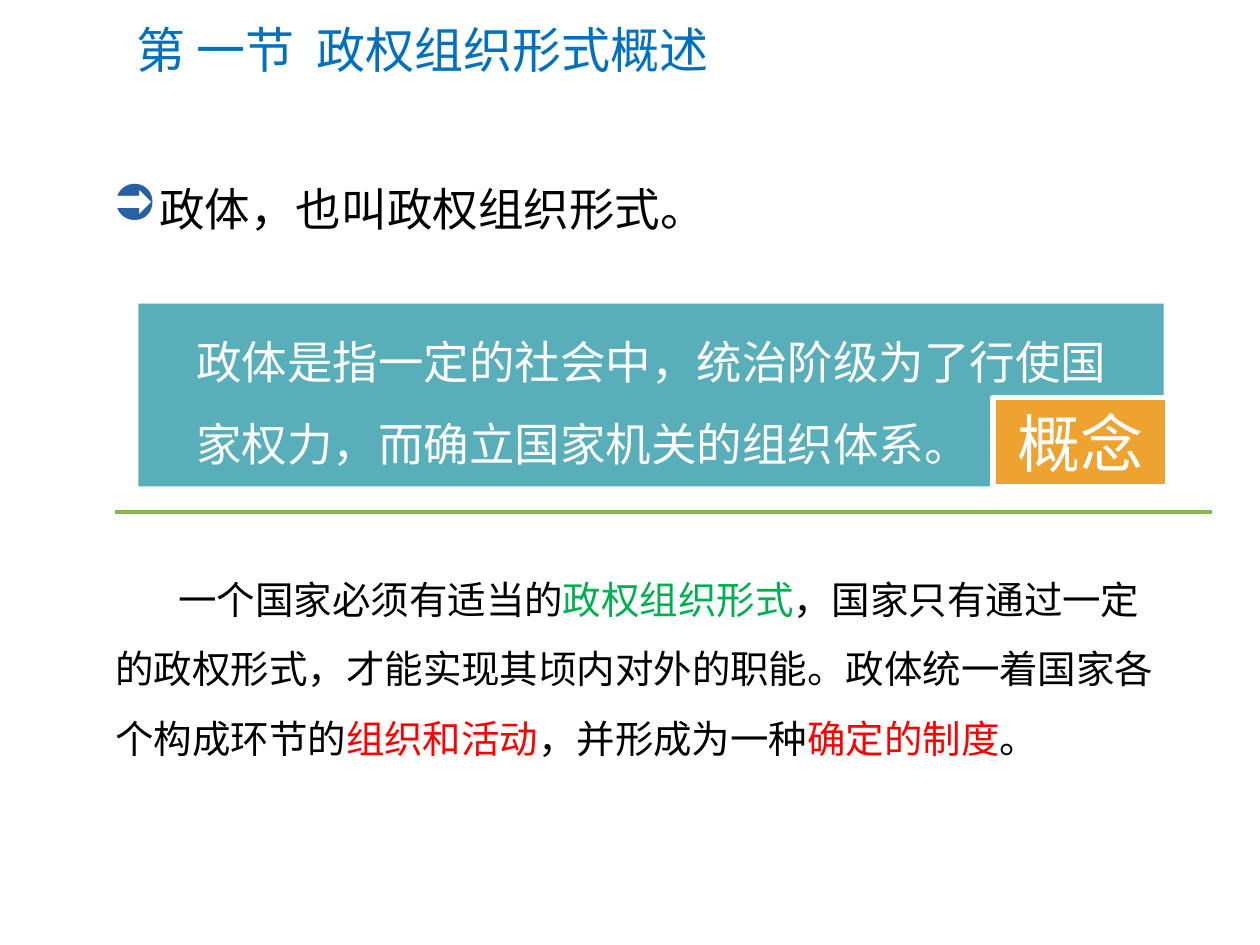
"""Build a slide that defines the form of government."""
from lxml.etree import SubElement
from pptx import Presentation
from pptx.dml.color import RGBColor
from pptx.enum.shapes import MSO_CONNECTOR, MSO_SHAPE
from pptx.enum.text import MSO_ANCHOR, MSO_AUTO_SIZE, PP_ALIGN
from pptx.oxml.ns import qn
from pptx.util import Pt


def shade(code):
    """Turn a hex string into a colour."""
    return RGBColor.from_string(code)


def write(par, text, size=26, color="000000", face="Calibri"):
    """Add one run of text to a paragraph."""
    run = par.add_run()
    run.text = text
    font = run.font
    font.size = Pt(size)
    font.color.rgb = shade(color)
    font.name = face
    SubElement(run._r.get_or_add_rPr(), qn("a:ea"), typeface=face)


class Page:
    """Hold the style and the current slide."""

    blue, teal, gold, lime = "0070C0", "58AEB9", "EEA230", "86B74A"
    green, red, white, navy = "00B050", "FF0000", "FFFFFF", "2860A4"

    def __init__(self, deck):
        """Start a title-only slide."""
        self.slide = deck.slides.add_slide(deck.slide_layouts[5])
        self.shapes = self.slide.shapes

    def title(self, text, left, top, width, height):
        """Place and fill the title."""
        head = self.shapes.title
        head.left, head.top = Pt(left), Pt(top)
        head.width, head.height = Pt(width), Pt(height)
        frame = head.text_frame
        frame.vertical_anchor = MSO_ANCHOR.MIDDLE
        par = frame.paragraphs[0]
        par.alignment = PP_ALIGN.LEFT
        write(par, text, size=28, color=self.blue)

    def block(self, left, top, width, height, fill, edge=None):
        """Draw a filled rectangle and return its paragraph."""
        box = self.shapes.add_shape(
            MSO_SHAPE.RECTANGLE, Pt(left), Pt(top), Pt(width), Pt(height))
        box.shadow.inherit = False
        box.fill.solid()
        box.fill.fore_color.rgb = shade(fill)
        if edge:
            box.line.color.rgb = shade(edge)
            box.line.width = Pt(3)
        else:
            box.line.fill.background()
        frame = box.text_frame
        frame.vertical_anchor = MSO_ANCHOR.MIDDLE
        par = frame.paragraphs[0]
        par.alignment = PP_ALIGN.CENTER
        return par

    def text(self, left, top, width, height, space=1.0):
        """Add a wrapped text box and return its paragraph."""
        box = self.shapes.add_textbox(Pt(left), Pt(top), Pt(width), Pt(height))
        frame = box.text_frame
        frame.word_wrap = True
        frame.auto_size = MSO_AUTO_SIZE.SHAPE_TO_FIT_TEXT
        par = frame.paragraphs[0]
        par.line_spacing = space
        return par

    def indent(self, par, left, first):
        """Set the left margin and first-line indent."""
        props = par._p.get_or_add_pPr()
        props.set("marL", str(Pt(left)))
        props.set("indent", str(Pt(first)))
        return props

    def bullet(self, par, sign):
        """Give a paragraph a coloured bullet."""
        props = self.indent(par, 27, -27)
        tint = SubElement(props, qn("a:buClr"))
        SubElement(tint, qn("a:srgbClr"), val=self.navy)
        SubElement(props, qn("a:buSzPct"), val="110000")
        SubElement(props, qn("a:buChar"), char=sign)

    def rule(self, left, right, top):
        """Draw a level line."""
        line = self.shapes.add_connector(
            MSO_CONNECTOR.STRAIGHT, Pt(left), Pt(top), Pt(right), Pt(top))
        line.line.color.rgb = shade(self.lime)
        line.line.width = Pt(2.25)
        SubElement(line._element.spPr, qn("a:effectLst"))


def main():
    """Build and save the slide."""
    deck = Presentation()
    deck.slide_width, deck.slide_height = Pt(720), Pt(540)
    page = Page(deck)

    page.block(79, 173.5, 586, 104.5, page.teal)
    page.title("第 一节  政权组织形式概述", 71, 7, 628, 42)

    point = page.text(57, 100, 600, 39)
    page.bullet(point, "➲")
    write(point, "政体，也叫政权组织形式。")

    page.rule(66, 692.5, 292.5)

    term = page.text(105, 172, 553, 101.5, space=1.5)
    write(term, "政体是指一定的社会中，统治阶级为了行使国家权力，而确立国家机关的组织体系。",
          color=page.white)

    body = page.text(59, 312.5, 617, 127.5, space=1.5)
    page.indent(body, 0, 36)
    black = "000000"
    for words, color in (
        ("一个国家必须有适当的", black),
        ("政权组织形式", page.green),
        ("，国家只有通过一定的政权形式，才能实现其顷内对外的职能。"
         "政体统一着国家各个构成环节的", black),
        ("组织和活动", page.red),
        ("，并形成为一种", black),
        ("确定的制度", page.red),
        ("。", black),
    ):
        write(body, words, size=22, color=color)

    label = page.block(567.5, 227, 99.5, 51, page.gold, edge=page.white)
    write(label, "概念", size=36, color=page.white, face="Noto Sans CJK SC")

    deck.save("out.pptx")


if __name__ == "__main__":
    main()
